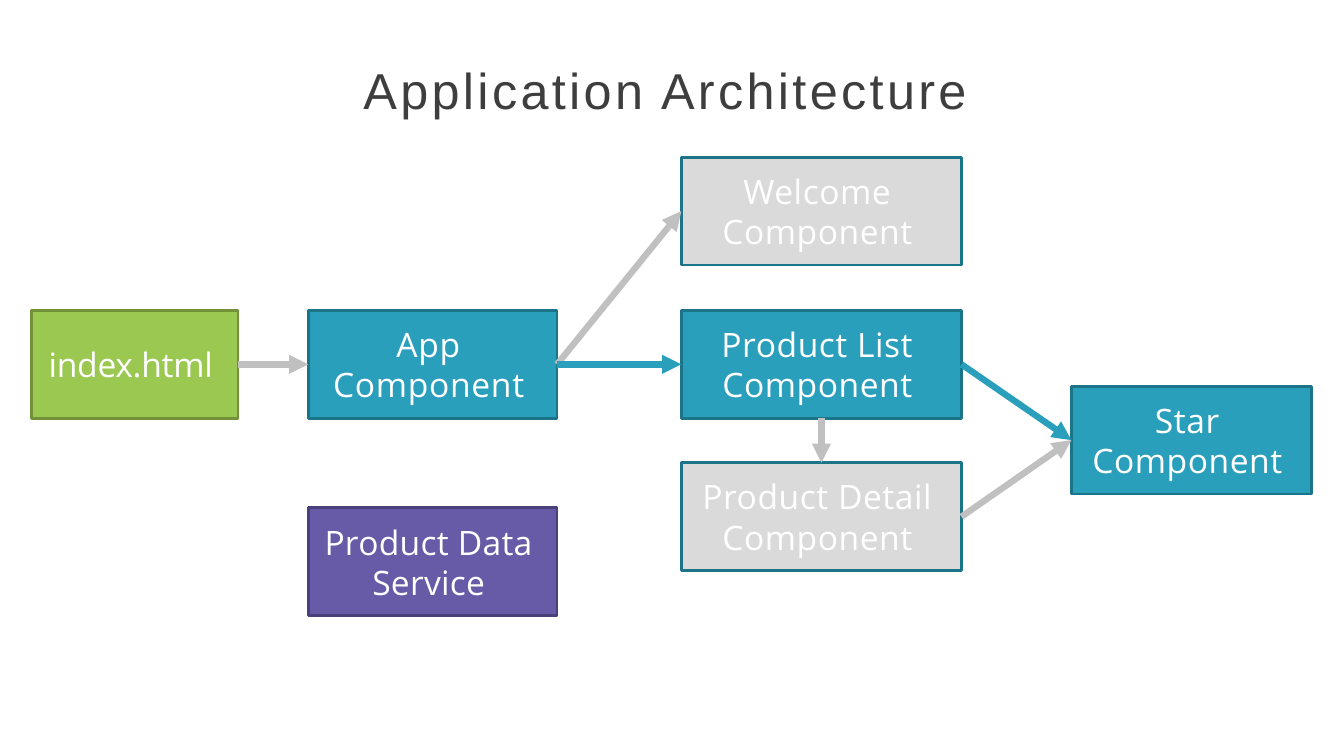
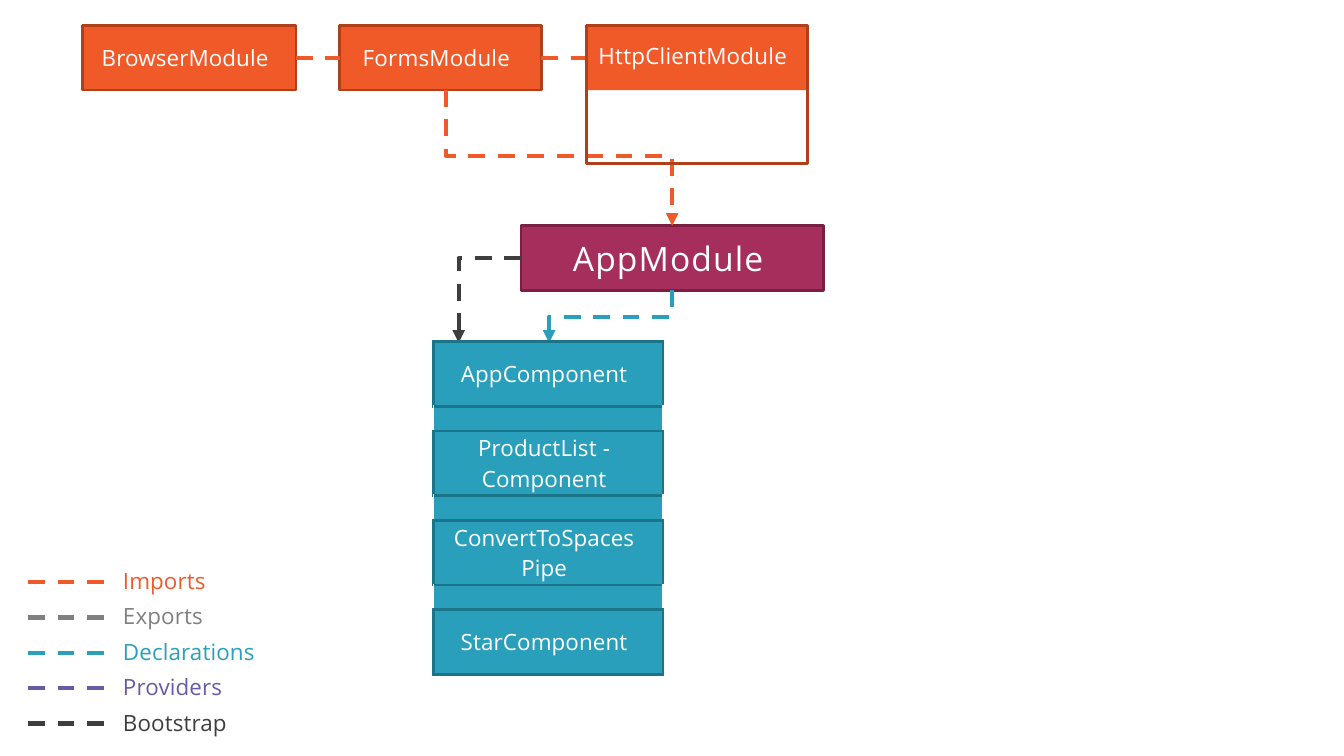
from lxml import etree
from pptx import Presentation
from pptx.dml.color import RGBColor
from pptx.enum import dml, shapes, text
from pptx.oxml.ns import qn
from pptx.util import Cm, Pt

# Shared colours and fonts
TEAL, TEAL_EDGE = "2A9FBC", "1C7489"
ORANGE, ORANGE_EDGE = "F05A28", "B0401A"
PURPLE, PURPLE_EDGE = "675BA7", "4A417A"
GREEN, GREEN_EDGE = "9BC850", "719238"
MAGENTA, MAGENTA_EDGE = "A62E5C", "791F41"
PALE, SILVER, GREY, DARK, WHITE = "DADADA", "C0C0C0", "808080", "3E3E3E", "FFFFFF"
BODY_FONT, TITLE_FONT = "Open Sans", "Arial"
CENTER, LEFT = text.PP_ALIGN.CENTER, text.PP_ALIGN.LEFT
TOP_SIDE, LEFT_SIDE, BOTTOM_SIDE, RIGHT_SIDE = range(4)
rgb = RGBColor.from_string


def write(p, words, size=16, color=WHITE, font=BODY_FONT, align=CENTER,
          spacing=1.0, track=0.1):
    p.alignment, p.line_spacing = align, spacing
    r = p.add_run()
    r.text = words
    r.font.name, r.font.size = font, Pt(size)
    r.font.color.rgb = rgb(color)
    r.font._element.set("spc", str(round(track * 100)))


def outline(sp, color, width, dash=False, arrow=False):
    sp.line.color.rgb = rgb(color)
    sp.line.width = Pt(width)
    if dash:
        sp.line.dash_style = dml.MSO_LINE.DASH
    if arrow:
        ln = sp._element.spPr.find(qn("a:ln"))
        etree.SubElement(ln, qn("a:tailEnd"), type="triangle")
    etree.SubElement(sp._element.spPr, qn("a:effectLst"))


prs = Presentation()
prs.slide_width, prs.slide_height = Cm(33.87), Cm(19.05)
architecture, modules = [prs.slides.add_slide(prs.slide_layouts[5]) for _ in range(2)]

# Boxes of both slides: slide, text, left, top, width, height, fill, edge, size, tracking
boxes = {}
for s, name, x, y, w, h, fill, edge, size, track in [
    (architecture, "index.html", 0.79, 7.82, 5.21, 2.72, GREEN, GREEN_EDGE, 24, -0.2),
    (architecture, "App Component", 7.77, 7.82, 6.27, 2.72, TEAL, TEAL_EDGE, 24, 0.5),
    (architecture, "Product List Component", 17.17, 7.82, 7.06, 2.72, TEAL, TEAL_EDGE, 24, 0.4),
    (architecture, "Product Data Service", 7.77, 12.8, 6.27, 2.72, PURPLE, PURPLE_EDGE, 24, 0.2),
    (architecture, "Product Detail Component", 17.17, 11.66, 7.06, 2.72, PALE, TEAL_EDGE, 24, 0.4),
    (architecture, "Welcome Component", 17.17, 3.96, 7.06, 2.72, PALE, TEAL_EDGE, 24, 0.4),
    (architecture, "Star Component", 27, 9.73, 6.05, 2.72, TEAL, TEAL_EDGE, 24, 0.4),
    (modules, "AppModule", 13.13, 5.69, 7.62, 1.63, MAGENTA, MAGENTA_EDGE, 24, 0.8),
    (modules, "BrowserModule", 2.08, 0.64, 5.38, 1.63, ORANGE, ORANGE_EDGE, 16, 0.1),
    (modules, "FormsModule", 8.56, 0.64, 5.08, 1.63, ORANGE, ORANGE_EDGE, 16, 0.2),
]:
    sp = s.shapes.add_shape(shapes.MSO_SHAPE.RECTANGLE, Cm(x), Cm(y), Cm(w), Cm(h))
    sp.fill.solid()
    sp.fill.fore_color.rgb = rgb(fill)
    outline(sp, edge, 2.04)
    tf = sp.text_frame
    tf.word_wrap = True
    tf.vertical_anchor = text.MSO_ANCHOR.MIDDLE
    tf.margin_left = tf.margin_top = tf.margin_bottom = 0
    tf.margin_right = Cm(0.2)
    write(tf.paragraphs[0], name, size=size, track=track)
    boxes[name] = sp

# Filled band behind the title of the module slide
band = modules.shapes.add_shape(shapes.MSO_SHAPE.RECTANGLE,
                                Cm(14.78), Cm(0.64), Cm(5.56), Cm(1.63))
band.shadow.inherit = False
band.fill.solid()
band.fill.fore_color.rgb = rgb(ORANGE)
band.line.fill.background()
boxes["band"] = band

# Straight links: slide, from, side, to, side, colour, width, dashed, arrow
for s, start, side, end, end_side, color, width, dash, arrow in [
    (architecture, "index.html", RIGHT_SIDE, "App Component", LEFT_SIDE, SILVER, 4.56, False, True),
    (architecture, "App Component", RIGHT_SIDE, "Welcome Component", LEFT_SIDE, SILVER, 4.56, False, True),
    (architecture, "App Component", RIGHT_SIDE, "Product List Component", LEFT_SIDE, TEAL, 4.56, False, True),
    (architecture, "Product List Component", BOTTOM_SIDE, "Product Detail Component", TOP_SIDE,
     SILVER, 4.56, False, True),
    (architecture, "Product Detail Component", RIGHT_SIDE, "Star Component", LEFT_SIDE, SILVER, 4.56, False, True),
    (architecture, "Product List Component", RIGHT_SIDE, "Star Component", LEFT_SIDE, TEAL, 4.56, False, True),
    (modules, "BrowserModule", RIGHT_SIDE, "FormsModule", LEFT_SIDE, ORANGE, 3, True, False),
    (modules, "FormsModule", RIGHT_SIDE, "band", LEFT_SIDE, ORANGE, 3, True, False),
]:
    link = s.shapes.add_connector(shapes.MSO_CONNECTOR.STRAIGHT, 0, 0, 0, 0)
    link.begin_connect(boxes[start], side)
    link.end_connect(boxes[end], end_side)
    outline(link, color, width, dash, arrow)

# Bent dashed arrows around AppModule
for color, points in [
    (ORANGE, [(11.25, 2.27), (11.25, 3.94), (16.94, 3.94), (16.94, 5.69)]),
    (DARK, [(13.13, 6.5), (11.56, 6.5), (11.56, 8.64)]),
    (TEAL, [(16.94, 7.32), (16.94, 7.98), (13.84, 7.98), (13.84, 8.64)]),
]:
    corners = [(Cm(x), Cm(y)) for x, y in points]
    builder = modules.shapes.build_freeform(*corners[0])
    builder.add_line_segments(corners[1:], close=False)
    sp = builder.convert_to_shape()
    sp.fill.background()
    outline(sp, color, 3, dash=True, arrow=True)

# Titles
for s, words, x, y, w, h, top, style in [
    (architecture, "Application Architecture", 7.62, 1.5, 18.5, 1.6, 0,
     dict(size=36, color=DARK, font=TITLE_FONT, track=2.4)),
    (modules, "HttpClientModule", 14.78, 0.64, 5.56, 3.48, 0.43, dict(track=0.2)),
]:
    sp = s.shapes.title
    sp.left, sp.top, sp.width, sp.height = Cm(x), Cm(y), Cm(w), Cm(h)
    tf = sp.text_frame
    tf.auto_size = text.MSO_AUTO_SIZE.NONE
    tf.word_wrap = True
    tf.vertical_anchor = text.MSO_ANCHOR.TOP
    tf.margin_left = tf.margin_bottom = 0
    tf.margin_right, tf.margin_top = Cm(0.2), Cm(top)
    write(tf.paragraphs[0], words, **style)
    # Bring the title in front of the band and the links
    s.shapes._spTree.append(sp._element)
outline(modules.shapes.title, ORANGE_EDGE, 2.04)

# Table of declarations, with thin rows as gaps
rows = ["AppComponent", "", "ProductList - Component", "", "ConvertToSpaces Pipe", "", "StarComponent"]
table = modules.shapes.add_table(len(rows), 1, Cm(10.92), Cm(8.61), Cm(5.79), Cm(8.44)).table
table.first_row = table.horz_banding = False
for i, words in enumerate(rows):
    table.rows[i].height = Cm(1.63 if words else 0.62)
    cell = table.cell(i, 0)
    cell.margin_left = cell.margin_top = cell.margin_bottom = 0
    cell.margin_right = Cm(0.2)
    cell.vertical_anchor = text.MSO_ANCHOR.MIDDLE
    tcPr = cell._tc.get_or_add_tcPr()
    for edge in ["lnL", "lnR", "lnT", "lnB"] if words else ["lnT", "lnB"]:
        ln = etree.SubElement(tcPr, qn("a:" + edge), w=str(Pt(2.25)))
        etree.SubElement(etree.SubElement(ln, qn("a:solidFill")), qn("a:srgbClr"), val=TEAL_EDGE)
    cell.fill.solid()
    cell.fill.fore_color.rgb = rgb(TEAL)
    p = cell.text_frame.paragraphs[0]
    if words:
        write(p, words)
    else:
        etree.SubElement(p._p, qn("a:endParaRPr"), sz="800")

# Legend
tf = modules.shapes.add_textbox(Cm(3.1), Cm(14.07), Cm(4.2), Cm(4.5)).text_frame
tf.word_wrap = True
tf.margin_left = tf.margin_top = tf.margin_right = tf.margin_bottom = 0
legend = [("Imports", ORANGE), ("Exports", GREY), ("Declarations", TEAL),
          ("Providers", PURPLE), ("Bootstrap", DARK)]
for i, (words, color) in enumerate(legend):
    p = tf.add_paragraph() if i else tf.paragraphs[0]
    write(p, words, color=color, align=LEFT, spacing=Pt(25.3))
    y = Cm(14.67 + 0.89 * i)
    key = modules.shapes.add_connector(shapes.MSO_CONNECTOR.STRAIGHT, Cm(0.71), y, Cm(2.77), y)
    outline(key, color, 3, dash=True)

prs.save("out.pptx")
